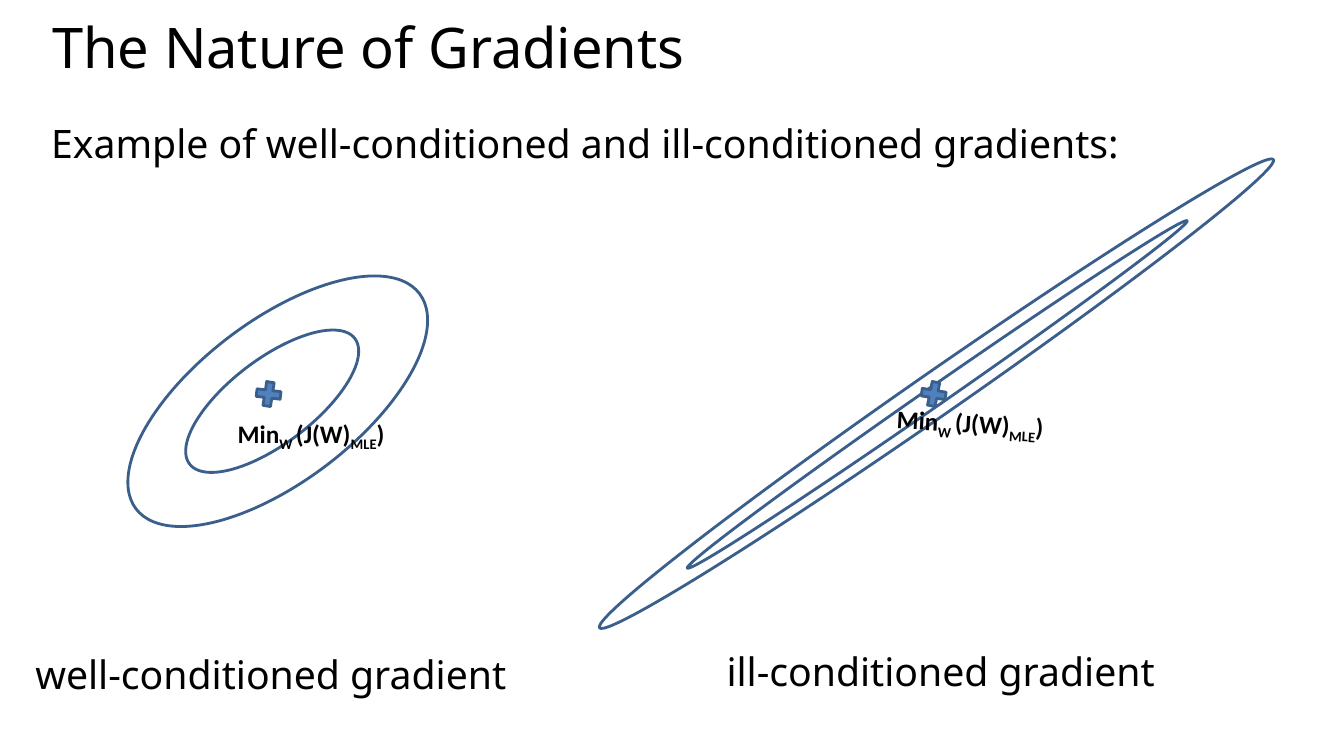
from pptx import Presentation
from pptx.dml.color import RGBColor
from pptx.enum.shapes import MSO_SHAPE
from pptx.enum.text import MSO_ANCHOR, MSO_AUTO_SIZE, PP_ALIGN
from pptx.util import Cm, Pt

TITLE = "The Nature of Gradients"
INTRO = "Example of well-conditioned and ill-conditioned gradients:"
MINIMUM = [("Min", False), ("W ", True), ("(J(W)", False), ("MLE", True), (")", False)]

# Lengths in cm: contours are (centre x, centre y, width, height)
GRADIENTS = [
    {"caption": "well-conditioned gradient", "caption_at": (0.64, 16.26), "tilt": 322.8,
     "contours": [(6.86, 10.11, 5.23, 2.13), (7.0, 10.11, 8.97, 4.06)],
     "optimum": (6.77, 9.93), "minimum_at": (5.74, 10.41), "minimum_tilt": 0},
    {"caption": "ill-conditioned gradient", "caption_at": (18.06, 16.18), "tilt": 325.2,
     "contours": [(23.62, 9.94, 15.34, 0.48), (23.6, 9.92, 20.68, 1.09)],
     "optimum": (23.53, 9.93), "minimum_at": (22.35, 10.19), "minimum_tilt": 3.1},
]
OPTIMUM_SIZE = (0.84, 0.81)
MINIMUM_SIZE = (6.05, 1.02)
CAPTION_SIZE = (12.73, 1.88)

BLACK, BLUE, OUTLINE = "000000", "4F81BD", "3A5F8C"
TITLE_FONT = {"name": "Noto Sans", "size": Pt(40), "bold": False}
BODY_FONT = {"name": "Noto Sans", "size": Pt(28), "bold": False}
MINIMUM_FONT = {"name": "Calibri", "size": Pt(18), "bold": True}
FRAME = {"word_wrap": True, "auto_size": MSO_AUTO_SIZE.NONE,
         "vertical_anchor": MSO_ANCHOR.TOP,
         "margin_left": Cm(0.25), "margin_right": Cm(0.25),
         "margin_top": Cm(0.13), "margin_bottom": Cm(0.13)}


def color(hex_code):
    """Turn a hex string into a colour."""
    return RGBColor.from_string(hex_code)


def apply(target, values):
    """Set each attribute of target from a dict."""
    for key, value in values.items():
        setattr(target, key, value)


def write(holder, pieces, font, spacing):
    """Fill a text holder with (text, is subscript) pieces in one paragraph."""
    apply(holder.text_frame, FRAME)
    paragraph = holder.text_frame.paragraphs[0]
    apply(paragraph, {"alignment": PP_ALIGN.LEFT, **spacing})
    for text, subscript in pieces:
        run = paragraph.add_run()
        run.text = text
        apply(run.font, font)
        run.font.color.rgb = color(BLACK)
        if subscript:
            run.font._element.set("baseline", "-25000")


def add_text(at, size, pieces, font, spacing, tilt=0):
    """Add a text box, tilted if asked."""
    box = slide.shapes.add_textbox(*map(Cm, at + size))
    box.rotation = tilt
    write(box, pieces, font, spacing)


def add_outlined(kind, centre, size, tilt, fill=None):
    """Add a tilted outlined shape around a centre."""
    corner = tuple(c - s / 2 for c, s in zip(centre, size))
    shape = slide.shapes.add_shape(kind, *map(Cm, corner + size))
    shape.rotation = tilt
    shape.shadow.inherit = False
    shape.line.color.rgb = color(OUTLINE)
    shape.line.width = Pt(2)
    if fill:
        shape.fill.solid()
        shape.fill.fore_color.rgb = color(fill)
    else:
        shape.fill.background()


deck = Presentation()
apply(deck, {"slide_width": Cm(33.87), "slide_height": Cm(19.05)})
slide = deck.slides.add_slide(deck.slide_layouts[5])

title = slide.shapes.title
apply(title, {"left": Cm(1.07), "top": Cm(0.51), "width": Cm(32), "height": Cm(2.13)})
write(title, [(TITLE, False)], TITLE_FONT, {"line_spacing": 0.8})

BODY_SPACING = {"space_before": Pt(14)}
add_text((1.04, 2.87), (32, 1.88), [(INTRO, False)], BODY_FONT, BODY_SPACING)

for gradient in GRADIENTS:
    tilt = gradient["tilt"]
    for contour in gradient["contours"]:
        add_outlined(MSO_SHAPE.OVAL, contour[:2], contour[2:], tilt)
    add_outlined(MSO_SHAPE.MATH_MULTIPLY, gradient["optimum"], OPTIMUM_SIZE, tilt, BLUE)
    add_text(gradient["minimum_at"], MINIMUM_SIZE, MINIMUM, MINIMUM_FONT, {},
             gradient["minimum_tilt"])
    add_text(gradient["caption_at"], CAPTION_SIZE, [(gradient["caption"], False)],
             BODY_FONT, BODY_SPACING)

deck.save("out.pptx")
